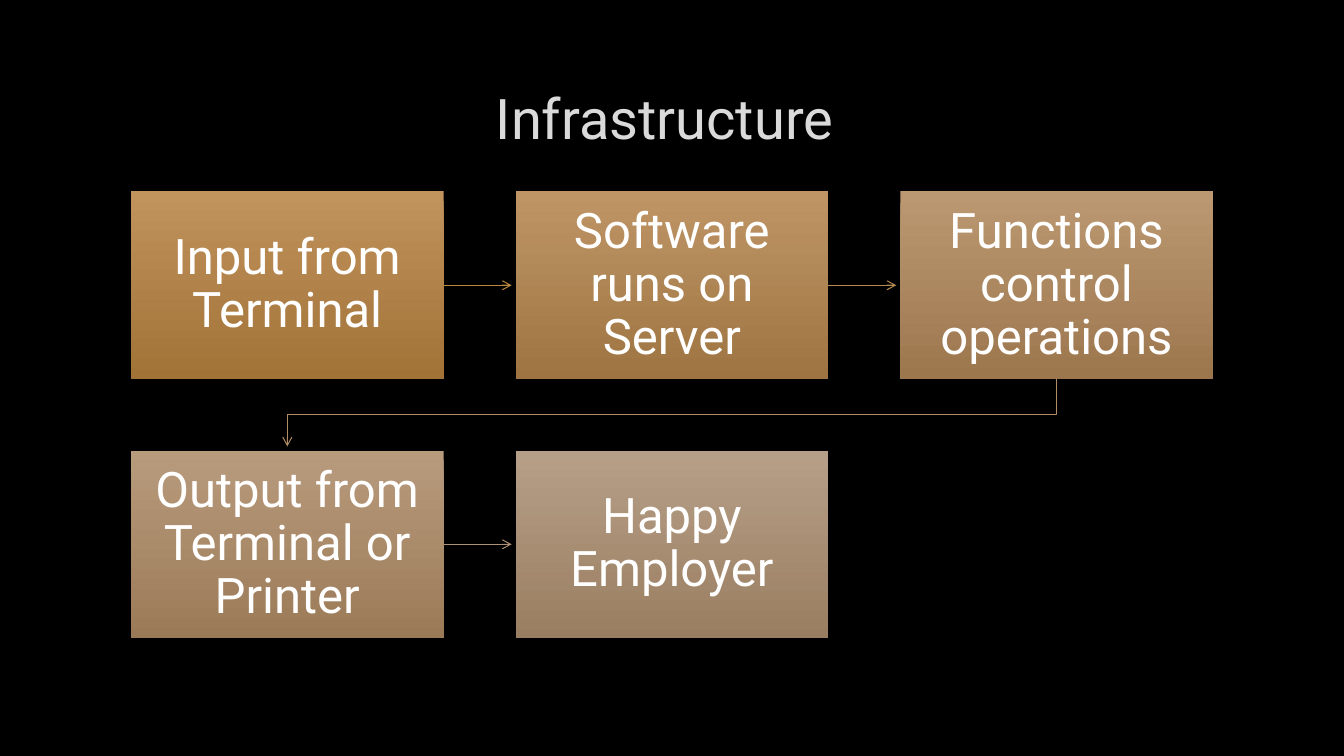
from lxml.etree import SubElement
from pptx import Presentation
from pptx.dml.color import RGBColor
from pptx.enum.shapes import MSO_CONNECTOR, MSO_SHAPE
from pptx.enum.text import MSO_ANCHOR, PP_ALIGN
from pptx.oxml.ns import qn
from pptx.util import Inches, Pt

FONT = "Roboto"
GRID_LEFT, GRID_RIGHT, GRID_TOP = 1.3, 12.03, 1.9
BOX_WIDTH, BOX_HEIGHT = 3.1, 1.86
COLUMNS = 3
COLUMN_STEP = (GRID_RIGHT - GRID_LEFT - BOX_WIDTH) / (COLUMNS - 1)
ROW_STEP = 2.57
ARROW_GAP = 0.04

# Wording, gradient top, gradient bottom, colour of the arrow to the next step
STEPS = [
    ("Input from Terminal", "C1935D", "A17337", "BB8640"),
    ("Software runs on Server", "BF9566", "9E7542", "B78952"),
    ("Functions control operations", "BB9871", "9C774E", "B18D65"),
    ("Output from Terminal or Printer", "B89B7D", "9B7A57", "AD9277"),
    ("Happy Employer", "B69F88", "9A7E61", None),
]


def color(hex_string):
    """Turn a hex string into a colour."""
    return RGBColor.from_string(hex_string)


def cell_position(index):
    """Return the left and top, in inches, of a step's box in the grid."""
    row, column = divmod(index, COLUMNS)
    return GRID_LEFT + column * COLUMN_STEP, GRID_TOP + row * ROW_STEP


def write_text(shape, text, size, hex_string, margins=(0.1, 0.05)):
    """Write one centred paragraph into a shape."""
    frame = shape.text_frame
    frame.word_wrap = True
    frame.vertical_anchor = MSO_ANCHOR.MIDDLE
    frame.margin_left = frame.margin_right = Inches(margins[0])
    frame.margin_top = frame.margin_bottom = Inches(margins[1])
    paragraph = frame.paragraphs[0]
    paragraph.text = text
    paragraph.alignment = PP_ALIGN.CENTER
    paragraph.line_spacing = 0.9
    paragraph.font.name = FONT
    paragraph.font.size = Pt(size)
    paragraph.font.color.rgb = color(hex_string)


def add_title(slide, text):
    """Add the slide's heading."""
    box = slide.shapes.add_textbox(
        Inches(1), Inches(0.67), Inches(11.32), Inches(1.06))
    write_text(box, text, 40, "DADADA")


def add_step(slide, index, text, top_color, bottom_color):
    """Add a step's box with a vertical gradient."""
    left, top = cell_position(index)
    box = slide.shapes.add_shape(
        MSO_SHAPE.RECTANGLE, Inches(left), Inches(top),
        Inches(BOX_WIDTH), Inches(BOX_HEIGHT))
    box.shadow.inherit = False
    box.line.fill.background()
    box.fill.gradient()
    box.fill.gradient_angle = 270
    for stop, shade, position in zip(
            box.fill.gradient_stops, (top_color, bottom_color), (0, 1)):
        stop.color.rgb = color(shade)
        stop.position = position
    write_text(box, text, 35, "FFFFFF", margins=(0.15, 0.16))


def style_arrow(arrow, hex_string):
    """Give a line its colour, width and open arrowhead, without shadow."""
    arrow.line.color.rgb = color(hex_string)
    arrow.line.width = Pt(0.75)
    SubElement(arrow.line._get_or_add_ln(), qn("a:tailEnd"), type="arrow")
    properties = arrow._element.spPr
    if properties.find(qn("a:effectLst")) is None:
        SubElement(properties, qn("a:effectLst"))


def add_straight_arrow(slide, index, hex_string):
    """Join a step to its right-hand neighbour."""
    left, top = cell_position(index)
    middle = Inches(top + BOX_HEIGHT / 2)
    arrow = slide.shapes.add_connector(
        MSO_CONNECTOR.STRAIGHT, Inches(left + BOX_WIDTH), middle,
        Inches(left + COLUMN_STEP - ARROW_GAP), middle)
    style_arrow(arrow, hex_string)


def add_return_arrow(slide, index, hex_string):
    """Join the last step of a row to the first step of the next row."""
    left, top = cell_position(index)
    next_left, next_top = cell_position(index + 1)
    start_x, end_x = left + BOX_WIDTH / 2, next_left + BOX_WIDTH / 2
    start_y = top + BOX_HEIGHT
    bend_y = (start_y + next_top) / 2
    builder = slide.shapes.build_freeform(Inches(start_x), Inches(start_y))
    corners = [(start_x, bend_y), (end_x, bend_y),
               (end_x, next_top - ARROW_GAP)]
    builder.add_line_segments(
        [(Inches(x), Inches(y)) for x, y in corners], close=False)
    arrow = builder.convert_to_shape()
    arrow.shadow.inherit = False
    arrow.fill.background()
    style_arrow(arrow, hex_string)


def main():
    """Build the slide and save it."""
    presentation = Presentation()
    presentation.slide_width = Inches(13.33)
    presentation.slide_height = Inches(7.5)
    slide = presentation.slides.add_slide(presentation.slide_layouts[6])
    slide.background.fill.solid()
    slide.background.fill.fore_color.rgb = color("000000")

    add_title(slide, "Infrastructure ")
    for index, (text, top_color, bottom_color, arrow_color) in enumerate(STEPS):
        add_step(slide, index, text, top_color, bottom_color)
        if arrow_color:
            ends_row = index % COLUMNS == COLUMNS - 1
            add_arrow = add_return_arrow if ends_row else add_straight_arrow
            add_arrow(slide, index, arrow_color)

    presentation.save("out.pptx")


main()
